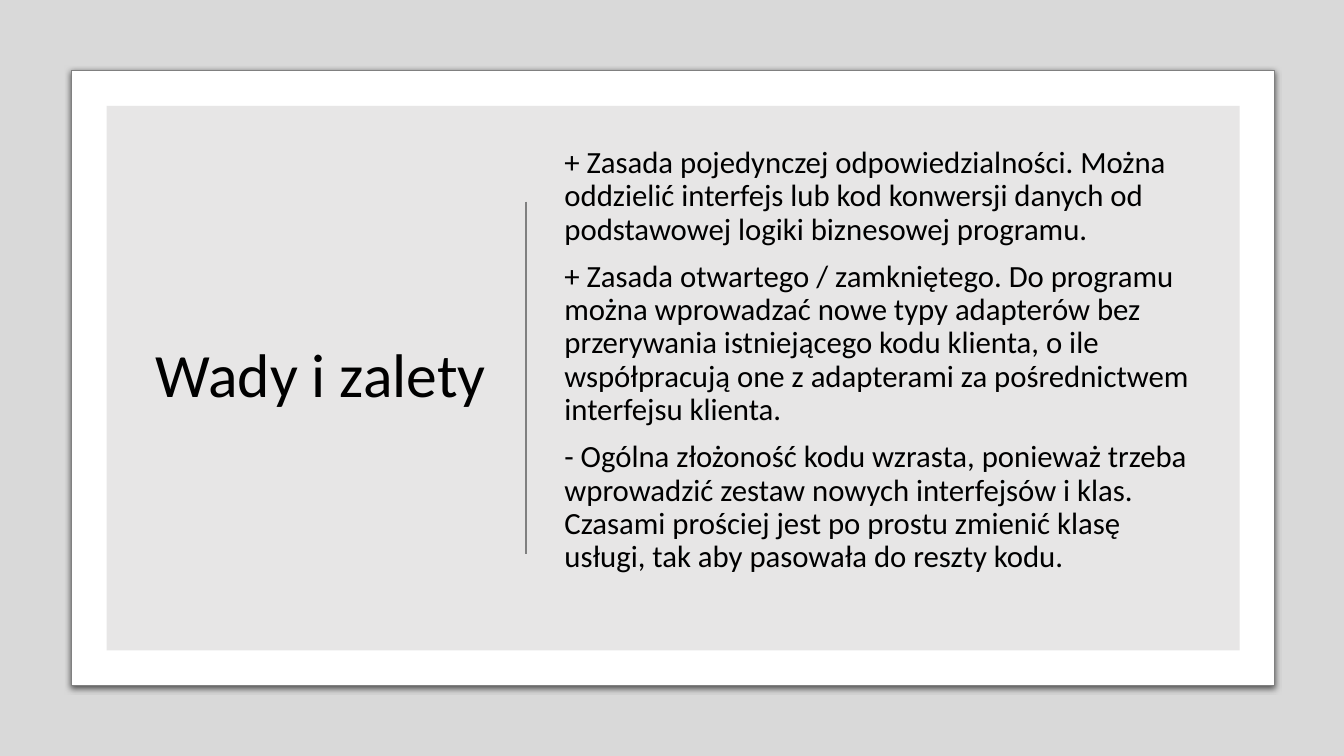
from lxml import etree
from pptx import Presentation
from pptx.dml.color import RGBColor
from pptx.enum.shapes import MSO_CONNECTOR, MSO_SHAPE
from pptx.enum.text import MSO_ANCHOR, MSO_AUTO_SIZE, PP_ALIGN
from pptx.oxml import parse_xml
from pptx.oxml.ns import nsdecls, qn
from pptx.util import Cm, Pt

RECTANGLE = MSO_SHAPE.RECTANGLE
ROUNDED_RECTANGLE = MSO_SHAPE.ROUNDED_RECTANGLE
STRAIGHT = MSO_CONNECTOR.STRAIGHT
MIDDLE = MSO_ANCHOR.MIDDLE
NO_AUTOFIT = MSO_AUTO_SIZE.NONE
LEFT, RIGHT = PP_ALIGN.LEFT, PP_ALIGN.RIGHT

BLACK = RGBColor(0x00, 0x00, 0x00)
WHITE = RGBColor(0xFF, 0xFF, 0xFF)
GRAY = RGBColor(0x80, 0x80, 0x80)
LIGHT_GRAY = RGBColor(0xE7, 0xE6, 0xE6)

FONT = "Calibri"
SLIDE_WIDTH, SLIDE_HEIGHT = Cm(33.87), Cm(19.05)
TEXT_TOP, TEXT_HEIGHT = Cm(3.81), Cm(11.43)

TITLE = "Wady i zalety"
ARGUMENTS = [
    "+ Zasada pojedynczej odpowiedzialności. Można oddzielić interfejs lub kod "
    "konwersji danych od podstawowej logiki biznesowej programu.",
    "+ Zasada otwartego / zamkniętego. Do programu można wprowadzać nowe typy "
    "adapterów bez przerywania istniejącego kodu klienta, o ile współpracują one "
    "z adapterami za pośrednictwem interfejsu klienta.",
    "- Ogólna złożoność kodu wzrasta, ponieważ trzeba wprowadzić zestaw nowych "
    "interfejsów i klas. Czasami prościej jest po prostu zmienić klasę usługi, "
    "tak aby pasowała do reszty kodu.",
]


def add_panel(slide, kind, left, top, width, height, color):
    """Add a filled shape without outline or shadow."""
    panel = slide.shapes.add_shape(kind, left, top, width, height)
    panel.shadow.inherit = False
    panel.fill.solid()
    panel.fill.fore_color.rgb = color
    panel.line.fill.background()
    return panel


def set_opacity(shape, percent):
    color = shape.fill._xPr.find(qn("a:solidFill"))[0]
    etree.SubElement(color, qn("a:alpha"), val=str(percent * 1000))


def add_drop_shadow(shape):
    effects = shape._element.spPr.find(qn("a:effectLst"))
    effects.append(parse_xml(
        f'<a:outerShdw {nsdecls("a")} blurRad="{Pt(4.5)}" dist="{Pt(1.5)}" '
        'dir="5400000" algn="t" rotWithShape="0">'
        f'<a:srgbClr val="{BLACK}"><a:alpha val="63000"/></a:srgbClr>'
        '</a:outerShdw>'))


def add_divider(slide, x, top, bottom):
    divider = slide.shapes.add_connector(STRAIGHT, x, top, x, bottom)
    divider.line.color.rgb = GRAY
    divider.line.width = Pt(1.5)
    etree.SubElement(divider._element.spPr, qn("a:effectLst"))


def fill_placeholder(slide, placeholder, left, width, texts, size, alignment):
    """Place and format a placeholder in front of the panels."""
    slide.shapes._spTree.append(placeholder._element)
    placeholder.left, placeholder.top = left, TEXT_TOP
    placeholder.width, placeholder.height = width, TEXT_HEIGHT
    frame = placeholder.text_frame
    frame.word_wrap = True
    frame.auto_size = NO_AUTOFIT
    frame.vertical_anchor = MIDDLE
    for index, text in enumerate(texts):
        paragraph = frame.add_paragraph() if index else frame.paragraphs[0]
        properties = paragraph._p.get_or_add_pPr()
        properties.set("marL", "0")
        properties.set("indent", "0")
        etree.SubElement(properties, qn("a:buNone"))
        paragraph.alignment = alignment
        paragraph.line_spacing = 0.9
        paragraph.space_before = Pt(10 if index else 0)
        run = paragraph.add_run()
        run.text = text
        run.font.name = FONT
        run.font.size = size
        run.font.color.rgb = BLACK


def main():
    presentation = Presentation()
    presentation.slide_width = SLIDE_WIDTH
    presentation.slide_height = SLIDE_HEIGHT
    slide = presentation.slides.add_slide(presentation.slide_layouts[1])
    title, body = slide.placeholders

    backdrop = add_panel(slide, RECTANGLE, 0, 0, SLIDE_WIDTH, SLIDE_HEIGHT, BLACK)
    set_opacity(backdrop, 15)

    card = add_panel(slide, ROUNDED_RECTANGLE,
                     Cm(1.8), Cm(1.78), Cm(30.33), Cm(15.49), WHITE)
    card.adjustments[0] = 0
    card.line.color.rgb = GRAY
    card.line.width = Pt(0.75)
    add_drop_shadow(card)

    add_panel(slide, RECTANGLE, Cm(2.69), Cm(2.67), Cm(28.55), Cm(13.72), LIGHT_GRAY)
    fill_placeholder(slide, title, Cm(3.58), Cm(8.92), [TITLE], Pt(44), RIGHT)
    add_divider(slide, Cm(13.26), Cm(5.08), Cm(13.97))
    fill_placeholder(slide, body, Cm(13.97), Cm(16.31), ARGUMENTS, Pt(22), LEFT)
    body.text_frame.margin_bottom = Cm(1)

    presentation.save("out.pptx")


if __name__ == "__main__":
    main()
